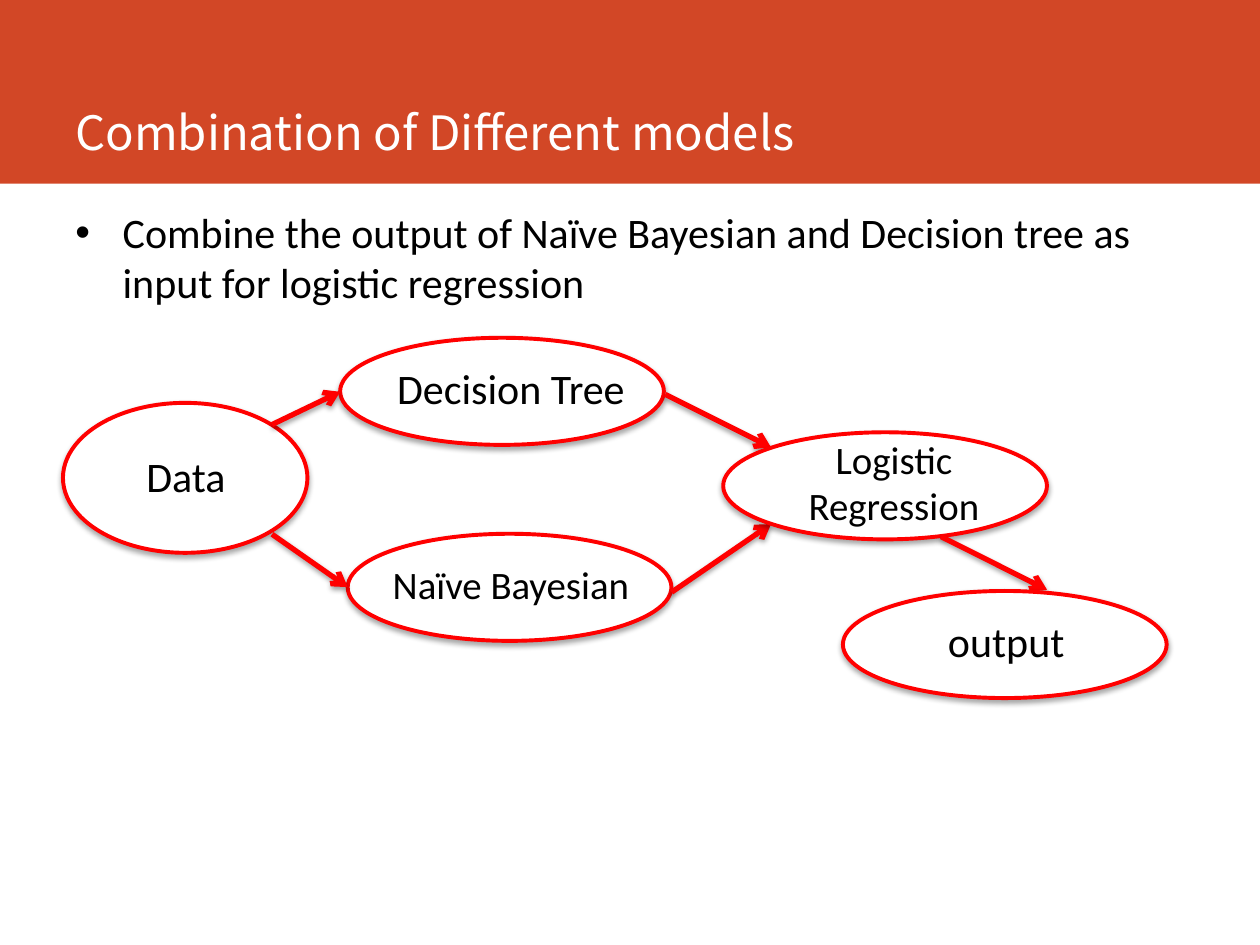
from lxml import etree
from pptx import Presentation
from pptx.dml.color import RGBColor
from pptx.enum.shapes import MSO_CONNECTOR, MSO_SHAPE
from pptx.enum.text import MSO_ANCHOR, PP_ALIGN
from pptx.oxml.ns import qn
from pptx.util import Pt


def color(hex_code):
    """Turn a hex string into a colour."""
    return RGBColor.from_string(hex_code)


def add_shadow(shape, alpha, distance):
    """Give a shape or connector a soft shadow straight below it."""
    effects = etree.SubElement(shape._element.spPr, qn("a:effectLst"))
    outer = etree.SubElement(effects, qn("a:outerShdw"), blurRad=str(Pt(3.1)),
                             dist=str(Pt(distance)), dir="5400000", rotWithShape="0")
    black = etree.SubElement(outer, qn("a:srgbClr"), val="000000")
    etree.SubElement(black, qn("a:alpha"), val=str(alpha * 1000))


class Slide:
    """Holds the style and the current slide; lengths are in points."""
    accent, banner_fill, paper, ink = "FF0000", "D24726", "FFFFFF", "000000"
    font, title_font = "Calibri", "Noto Sans CJK SC"

    def __init__(self, presentation):
        """Add a blank slide."""
        self.shapes = presentation.slides.add_slide(presentation.slide_layouts[6]).shapes

    def banner(self, width, height):
        """Draw the filled band at the top."""
        band = self.shapes.add_shape(MSO_SHAPE.RECTANGLE, 0, 0, Pt(width), Pt(height))
        band.shadow.inherit = False
        band.fill.solid()
        band.fill.fore_color.rgb = color(self.banner_fill)
        band.line.fill.background()

    def text(self, words, left, top, width, height, *, size=24, font=font, ink=ink,
             align=PP_ALIGN.LEFT, anchor=MSO_ANCHOR.TOP, inset=7.2, hanging=0, before=0):
        """Write one paragraph, bulleted when a hanging indent is given."""
        box = self.shapes.add_textbox(Pt(left), Pt(top), Pt(width), Pt(height))
        frame = box.text_frame
        frame.word_wrap = True
        frame.vertical_anchor = anchor
        frame.margin_left = frame.margin_right = Pt(inset)
        paragraph = frame.paragraphs[0]
        paragraph.alignment = align
        paragraph.space_before = Pt(before)
        run = paragraph.add_run()
        run.text = words
        run.font.size, run.font.name = Pt(size), font
        run.font.color.rgb = color(ink)
        if hanging:
            properties = paragraph._p.get_or_add_pPr()
            properties.set("marL", str(Pt(hanging)))
            properties.set("indent", str(-Pt(hanging)))
            etree.SubElement(properties, qn("a:buFont"), typeface="Arial")
            etree.SubElement(properties, qn("a:buChar"), char="•")

    def node(self, label, left, top, width=185, height=61.2, *, label_left,
             label_width=152, label_height=56.9, size=24):
        """Draw an outlined ellipse with its centred label."""
        oval = self.shapes.add_shape(MSO_SHAPE.OVAL, Pt(left), Pt(top), Pt(width), Pt(height))
        oval.fill.solid()
        oval.fill.fore_color.rgb = color(self.paper)
        oval.line.color.rgb = color(self.accent)
        oval.line.width = Pt(2.25)
        add_shadow(oval, 35, 1.8)
        self.text(label, label_left, top, label_width, label_height, size=size,
                  align=PP_ALIGN.CENTER, anchor=MSO_ANCHOR.MIDDLE, inset=0)

    def arrow(self, start, end):
        """Draw an arrow between two points."""
        link = self.shapes.add_connector(MSO_CONNECTOR.STRAIGHT, *map(Pt, start + end))
        link.line.color.rgb = color(self.accent)
        link.line.width = Pt(3)
        etree.SubElement(link.line._get_or_add_ln(), qn("a:tailEnd"), type="arrow")
        add_shadow(link, 38, 1.6)


presentation = Presentation()
presentation.slide_width, presentation.slide_height = Pt(720), Pt(540)
slide = Slide(presentation)

slide.banner(720, 105)
slide.text("Combination of Different models", 36, 0, 635, 95, size=27,
           font=Slide.title_font, ink=Slide.paper, anchor=MSO_ANCHOR.BOTTOM)
slide.text("Combine the output of Naïve Bayesian and Decision tree as input "
           "for logistic regression", 36, 114.5, 648, 93, hanging=27, before=4.8)

slide.node("Decision Tree", 194.4, 193, label_left=216)
slide.node("Naïve Bayesian", 198.7, 305, label_left=216, size=22.2)
slide.node("Data", 36, 230.2, 139.7, 85.7, label_left=49, label_width=114.5, label_height=83)

for start, end in (((155.5, 242.6), (194.4, 223.9)),
                   ((155.5, 305.3), (198.7, 335.5)),
                   ((383.8, 338.4), (440.6, 299.5)),
                   ((380.2, 225.4), (440.6, 255.6))):
    slide.arrow(start, end)

slide.node("Logistic Regression", 413.3, 247, label_left=434.9, size=22.2)
slide.arrow((537.8, 306.7), (598.3, 337))
slide.node("output", 481.7, 337.7, label_left=499)

presentation.save("out.pptx")
